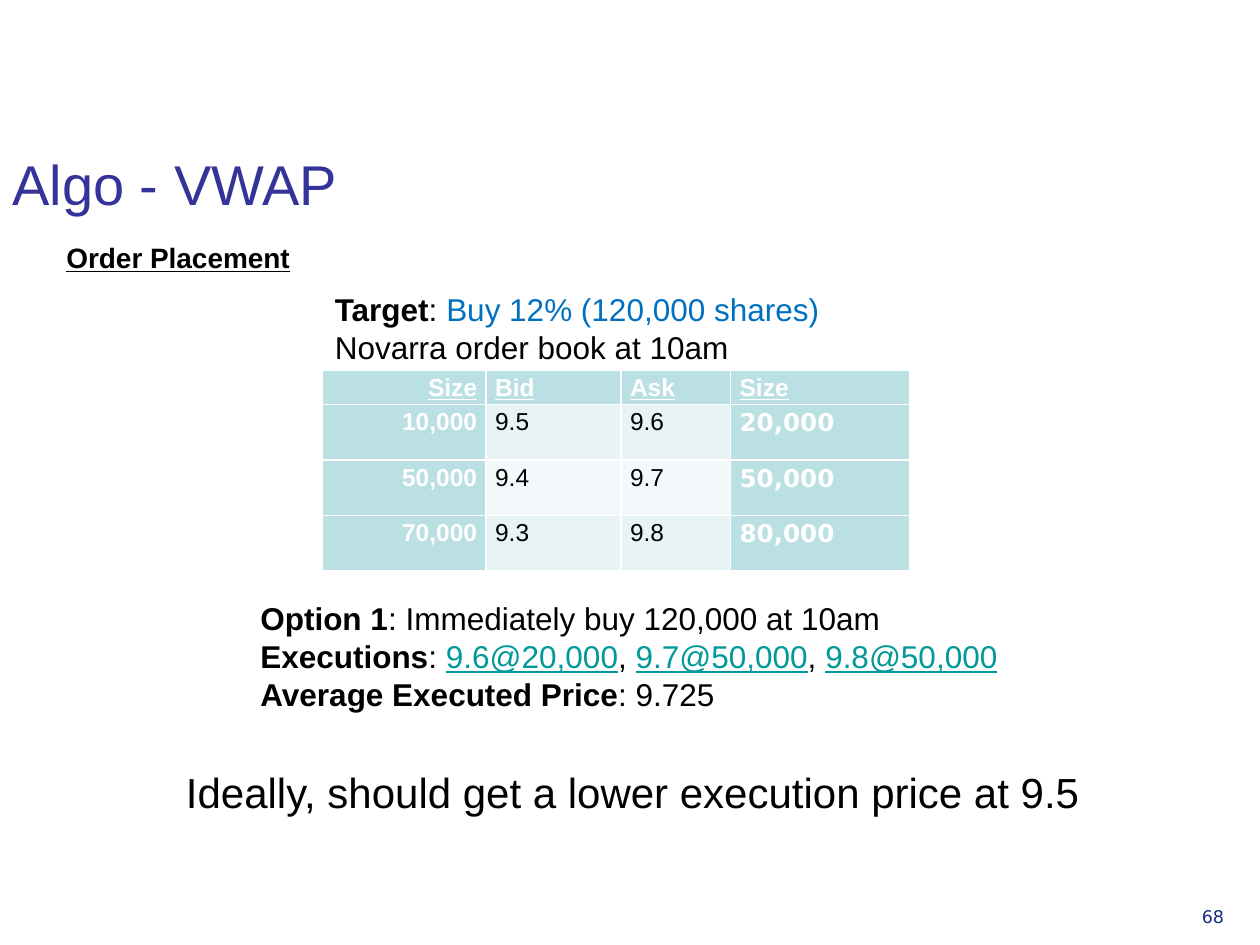
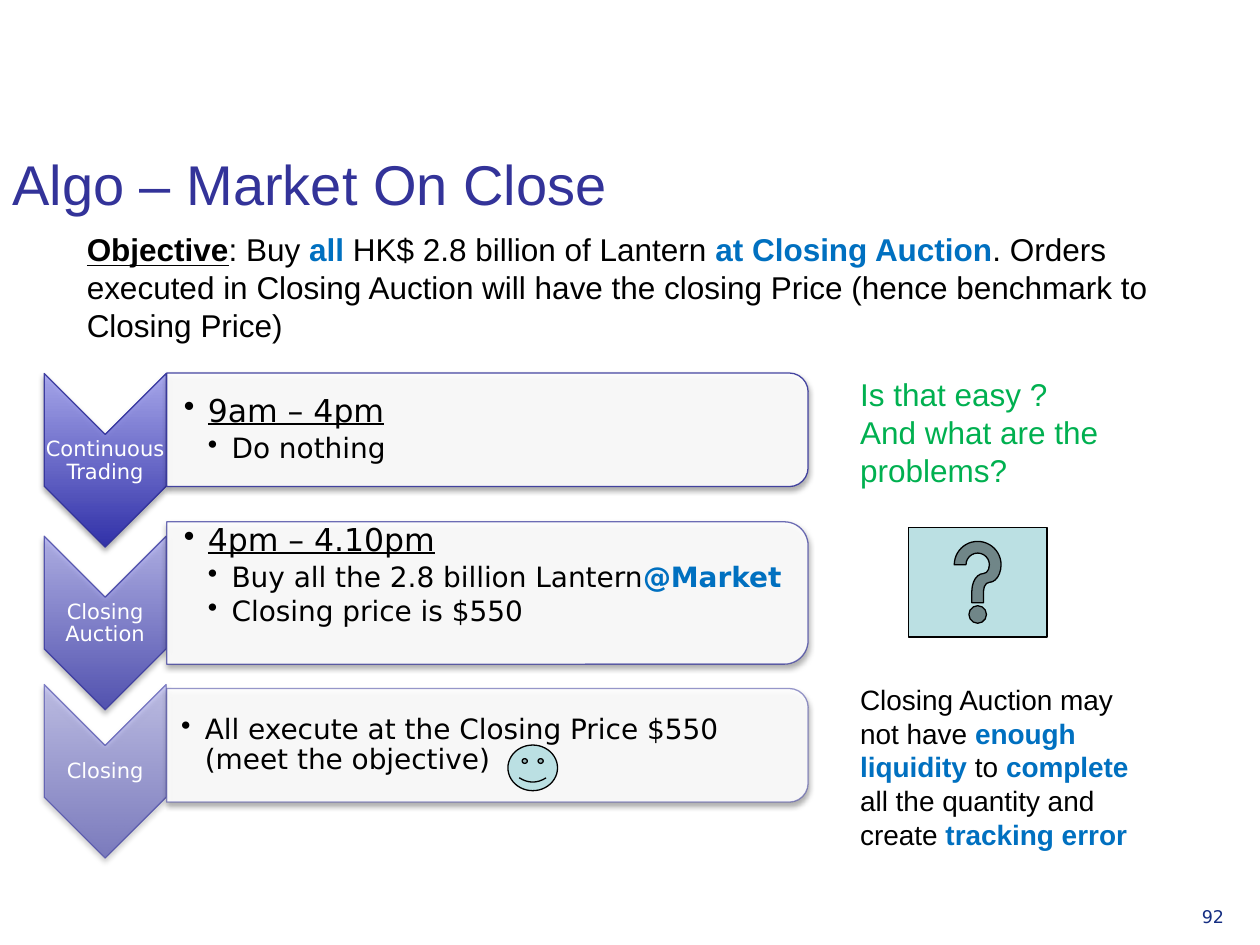
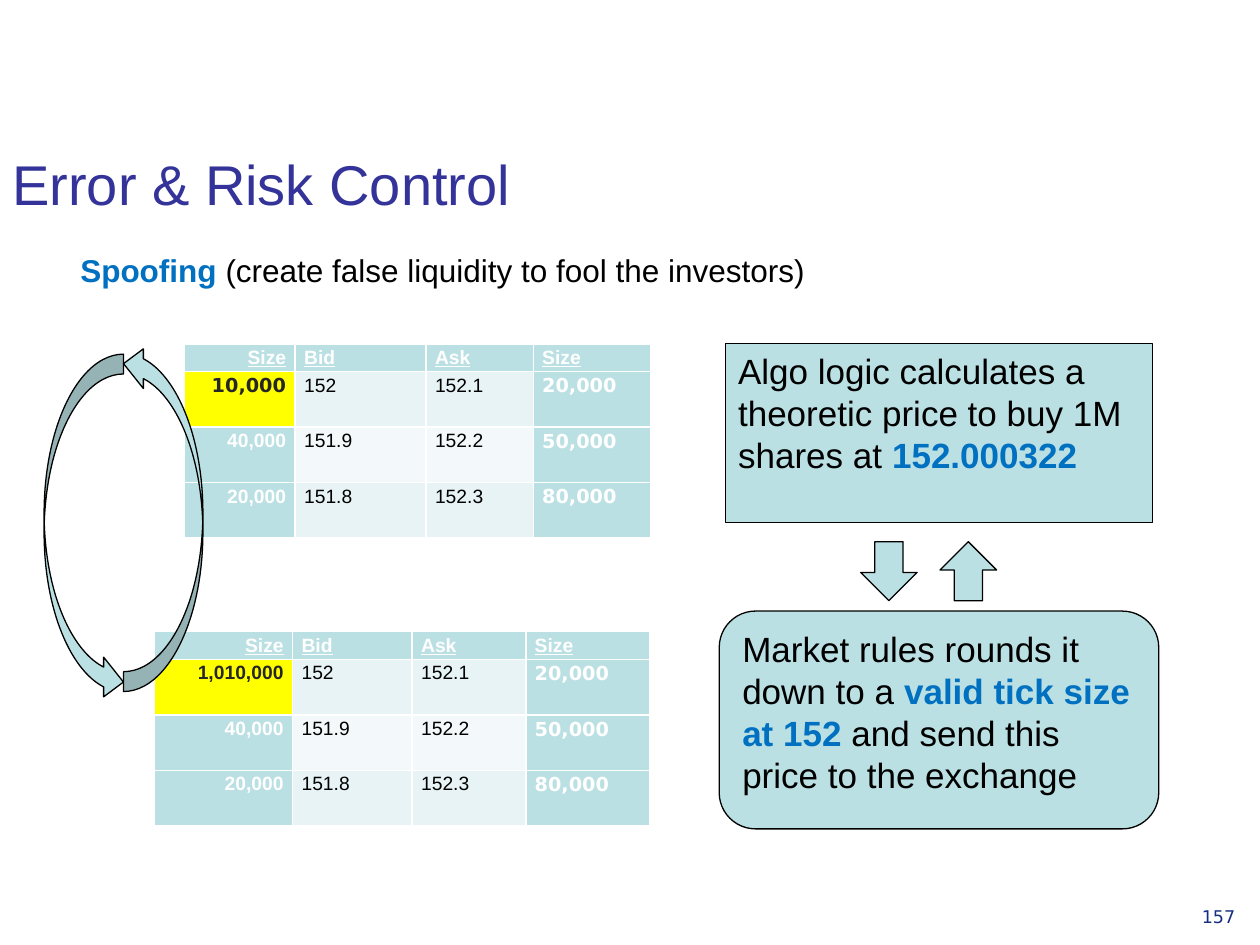
from lxml import etree
from pptx import Presentation
from pptx.dml.color import RGBColor
from pptx.enum.shapes import MSO_SHAPE
from pptx.enum.text import MSO_ANCHOR, PP_ALIGN
from pptx.oxml import parse_xml
from pptx.oxml.ns import nsdecls, qn
from pptx.util import Cm, Pt

CHEVRON = MSO_SHAPE.CHEVRON
PANEL = MSO_SHAPE.ROUND_2_SAME_RECTANGLE
HELP = MSO_SHAPE.ACTION_BUTTON_HELP
SMILEY = MSO_SHAPE.SMILEY_FACE
CURVED_ARROW = MSO_SHAPE.CURVED_RIGHT_ARROW
DOWN_ARROW = MSO_SHAPE.DOWN_ARROW
RECTANGLE = MSO_SHAPE.RECTANGLE
ROUNDED_PROCESS = MSO_SHAPE.FLOWCHART_ALTERNATE_PROCESS
TOP, MIDDLE, BOTTOM = MSO_ANCHOR.TOP, MSO_ANCHOR.MIDDLE, MSO_ANCHOR.BOTTOM
LEFT, CENTER, RIGHT = PP_ALIGN.LEFT, PP_ALIGN.CENTER, PP_ALIGN.RIGHT

ARIAL, DEJAVU = "Arial", "DejaVu Sans"
BLACK, WHITE, BLUE, GREEN = "000000", "FFFFFF", "0070C0", "00B050"
INDIGO, NAVY, LINK = "333399", "152E82", "009999"
TEAL, YELLOW, DARK = "BBE0E3", "FFFF00", "262626"
BANDS = ["E7F3F4", "F3F9FA"]
GRADIENT = ["2424A8", "A4A4EF"]
LINE_BREAK = "\n"
BULLET_INDENT = 0.48


def rgb(value):
    return RGBColor.from_string(value)


def bold(text, color=None, underline=None):
    return text, {"bold": True, "color": color, "underline": underline}


def blue(text):
    return bold(text, BLUE)


def link_like(text):
    return text, {"color": LINK, "underline": True}


def set_font(font, size=None, name=None, color=None, bold=None, underline=None):
    if size:
        font.size = Pt(size)
    if name:
        font.name = name
    if color:
        font.color.rgb = rgb(color)
    if bold is not None:
        font.bold = bold
    if underline is not None:
        font.underline = underline


def fade(element, percent):
    """Give every colour inside a fill or line the stated opacity."""
    for color in element.iter(qn("a:srgbClr")):
        etree.SubElement(color, qn("a:alpha")).set("val", str(percent * 1000))


class Deck:
    """Holds the shared style and the slide being filled."""

    def __init__(self):
        self.deck = Presentation()
        self.deck.slide_width, self.deck.slide_height = Cm(25.4), Cm(19.05)
        self.page = None

    def new_page(self, title, number):
        self.page = self.deck.slides.add_slide(self.deck.slide_layouts[6])
        self.text((23.98, 18.14, 1.4, 0.99), [[number]], 10, NAVY, DEJAVU)
        self.text((0, 1.73, 22.43, 2.77), [[title]], 32, INDIGO, anchor=BOTTOM)

    def fill_para(self, para, spans, size, color=BLACK, name=ARIAL, **style):
        """Fill a paragraph; a span is a string or a (string, font changes) pair."""
        set_font(para.font, size, name, color, **style)
        for span in spans:
            if span == LINE_BREAK:
                para.add_line_break()
                continue
            words, changes = (span, {}) if isinstance(span, str) else span
            run = para.add_run()
            run.text = words
            set_font(run.font, **changes)

    def text(self, box, paras, size, color=BLACK, name=ARIAL, anchor=TOP):
        frame = self.page.shapes.add_textbox(*map(Cm, box)).text_frame
        self.fill_frame(frame, paras, size, color, name, anchor)

    def fill_frame(self, frame, paras, size, color=BLACK, name=ARIAL, anchor=TOP):
        frame.word_wrap = True
        frame.vertical_anchor = anchor
        for index, spans in enumerate(paras):
            para = frame.add_paragraph() if index else frame.paragraphs[0]
            para.alignment = LEFT
            self.fill_para(para, spans, size, color, name)

    def tight_frame(self, box, left_inset=0.03):
        frame = self.page.shapes.add_textbox(*map(Cm, box)).text_frame
        frame.word_wrap = True
        frame.vertical_anchor = MIDDLE
        frame.margin_left = Cm(left_inset)
        frame.margin_top = frame.margin_right = frame.margin_bottom = Cm(0.03)
        return frame

    def label(self, box, words):
        para = self.tight_frame(box).paragraphs[0]
        para.alignment = CENTER
        para.line_spacing = 0.9
        self.fill_para(para, [words], 12, WHITE, DEJAVU)

    def bullets(self, box, left_inset, items):
        """Items are (level, size, underline, spans)."""
        frame = self.tight_frame(box, left_inset)
        for index, (level, size, underline, spans) in enumerate(items):
            para = frame.add_paragraph() if index else frame.paragraphs[0]
            para.level = level
            para.line_spacing = 0.9
            para.space_after = Pt(size * 0.15)
            props = para._p.get_or_add_pPr()
            props.set("marL", str(Cm(BULLET_INDENT * level)))
            props.set("indent", str(-Cm(BULLET_INDENT)))
            etree.SubElement(props, qn("a:buChar")).set("char", "•")
            self.fill_para(para, spans, size, name=DEJAVU, underline=underline)

    def shape(self, kind, box, fill=TEAL, line=BLACK, rotation=0):
        shape = self.page.shapes.add_shape(kind, *map(Cm, box))
        shape.shadow.inherit = False
        shape.rotation = rotation
        shape.fill.solid()
        shape.fill.fore_color.rgb = rgb(fill)
        shape.line.color.rgb = rgb(line)
        shape.line.width = Pt(0.75)
        return shape

    def text_shape(self, kind, box, spans):
        self.fill_frame(self.shape(kind, box).text_frame, [spans], 20)

    def turned_shape(self, kind, box, line_opacity):
        """Draw a shape turned by a quarter so that it covers the box; add a soft shadow."""
        left, top, width, height = box
        shift = (width - height) / 2
        shape = self.shape(kind, (left + shift, top - shift, height, width),
                           WHITE, INDIGO, 90)
        props = shape.element.spPr
        fade(props.find(qn("a:ln")), line_opacity)
        props.find(qn("a:effectLst")).append(parse_xml(
            f'<a:outerShdw {nsdecls("a")} blurRad="40000" dist="23000" dir="5400000" '
            'rotWithShape="0"><a:srgbClr val="000000"><a:alpha val="35000"/>'
            '</a:srgbClr></a:outerShdw>'))
        return shape

    def step(self, top, opacity, words, panel_top, panel_height, inset, items, spare=0):
        """A chevron with its panel; spare is room kept free under the bullets."""
        chevron = self.turned_shape(CHEVRON, (0.89, top, 2.46, 3.5), opacity)
        chevron.fill.gradient()
        chevron.fill.gradient_angle = 90
        for stop, color in zip(chevron.fill.gradient_stops, GRADIENT):
            stop.color.rgb = rgb(color)
        gradient = chevron.element.spPr.find(qn("a:gradFill"))
        gradient.set("rotWithShape", "0")
        fade(gradient, opacity)
        self.label((0.89, top + 1.23, 2.46, 1.07), words)

        panel = self.turned_shape(PANEL, (3.36, panel_top, 12.93, panel_height), opacity)
        fade(panel.element.spPr.find(qn("a:solidFill")), 90)
        self.bullets((3.35, panel_top + 0.13, 12.83, panel_height - 0.26 - spare),
                     inset, items)

    def order_book(self, left, top, widths, rows, size, highlight_font=None):
        """Bid and ask table; a highlight font marks the first bid size in yellow."""
        rows = [["Size", "Bid", "Ask", "Size"]] + rows
        heights = [0.56] + [1.12] * (len(rows) - 1)
        table = self.page.shapes.add_table(
            len(rows), len(widths), Cm(left), Cm(top),
            Cm(sum(widths)), Cm(sum(heights))).table
        for column, width in zip(table.columns, widths):
            column.width = Cm(width)
        for y, (row, height) in enumerate(zip(rows, heights)):
            table.rows[y].height = Cm(height)
            for x, value in enumerate(row):
                header, outer = y == 0, x in (0, 3)
                fill, color, name = TEAL, WHITE, ARIAL
                if not header and not outer:
                    fill, color = BANDS[(y - 1) % 2], BLACK
                elif not header and x == 3:
                    name = DEJAVU
                elif highlight_font and (x, y) == (0, 1):
                    fill, color, name = YELLOW, DARK, highlight_font
                cell = table.cell(y, x)
                cell.margin_left = cell.margin_right = Cm(0.18)
                cell.margin_top = cell.margin_bottom = 0
                cell.fill.solid()
                cell.fill.fore_color.rgb = rgb(fill)
                para = cell.text_frame.paragraphs[0]
                para.alignment = LEFT if x else RIGHT
                para.line_spacing = 1.15
                self.fill_para(para, [value], size, color, name,
                               bold=header or outer, underline=header)


def vwap_page(deck):
    deck.new_page("Algo - VWAP", "68")
    deck.text((1.09, 4.72, 23.11, 1.35),
              [[bold("Order Placement", underline=True)]], 16)
    deck.text((6.5, 5.72, 11.81, 1.8), [
        [bold("Target"), ": ", ("Buy 12% (120,000 shares)", {"color": BLUE})],
        ["Novarra order book at 10am"]], 18)
    deck.order_book(6.5, 7.47, [3.3, 2.72, 2.21, 3.6], [
        ["10,000", "9.5", "9.6", "20,000"],
        ["50,000", "9.4", "9.7", "50,000"],
        ["70,000", "9.3", "9.8", "80,000"]], 14)
    deck.text((5, 11.96, 16, 2.57), [
        [bold("Option 1"), ": Immediately buy 120,000 at 10am"],
        [bold("Executions"), ": ", link_like("9.6@20,000"), ", ",
         link_like("9.7@50,000"), ", ", link_like("9.8@50,000")],
        [bold("Average Executed Price"), ": 9.725"]], 18)
    deck.text((3.5, 15.32, 19.2, 1.27),
              [["Ideally, should get a lower execution price at 9.5"]], 24)


def close_page(deck):
    deck.new_page("Algo – Market On Close", "92")
    deck.text((1.5, 4.52, 22.4, 2.39), [[
        bold("Objective", underline=True), ": Buy ", blue("all"),
        " HK$ 2.8 billion of Lantern ", blue("at Closing Auction"),
        ". Orders executed in Closing Auction will have the closing Price "
        "(hence benchmark to Closing Price)"]], 18)
    deck.step(7.53, 90, "Continuous Trading", 7.52, 2.29, 0.36, [
        (1, 18, True, ["9am – 4pm"]),
        (2, 16, False, ["Do nothing"])])
    deck.step(10.81, 70, "Closing Auction", 10.52, 2.87, 0.36, [
        (1, 18, True, ["4pm – 4.10pm"]),
        (2, 16, False, ["Buy all the 2.8 billion Lantern", blue("@Market")]),
        (2, 16, False, ["Closing price is $550"])], spare=0.68)
    deck.step(13.8, 50, "Closing", 13.88, 2.29, 0.3, [
        (1, 16, False, ["All execute at the Closing Price $550", LINE_BREAK,
                        "(meet the objective)"])])
    deck.text((17.09, 7.44, 7.01, 3.43),
              [["Is that easy ?"], ["And what are the problems?"]], 18, GREEN)
    deck.shape(HELP, (18.31, 10.64, 2.8, 2.2))
    deck.text((17.09, 13.64, 6.25, 4.37), [[
        "Closing Auction may not have ", blue("enough liquidity "), "to ",
        blue("complete"), " all the quantity and create ",
        blue("tracking error")]], 16)
    deck.shape(SMILEY, (10.24, 15.02, 1, 0.92))


def risk_page(deck):
    deck.new_page("Error & Risk Control", "157")
    deck.text((1.37, 4.93, 19.94, 1.19), [[
        blue("Spoofing"), " (create false liquidity to fool the investors)"]], 18)
    deeper_rows = [["40,000", "151.9", "152.2", "50,000"],
                   ["20,000", "151.8", "152.3", "80,000"]]
    for left, top, widths, bid_size, name in [
            (3.71, 6.93, [2.24, 2.64, 2.16, 2.36], "10,000", DEJAVU),
            (3.1, 12.73, [2.8, 2.41, 2.29, 2.5], "1,010,000", ARIAL)]:
        best_row = [bid_size, "152", "152.1", "20,000"]
        deck.order_book(left, top, widths, [best_row] + deeper_rows, 11, name)
    deck.shape(CURVED_ARROW, (0.89, 7.14, 1.6, 7.01))
    deck.shape(CURVED_ARROW, (2.49, 6.93, 1.6, 7.01), rotation=180)
    deck.text_shape(RECTANGLE, (14.63, 6.93, 8.61, 3.61), [
        "Algo logic calculates a theoretic price to buy 1M shares at ",
        blue("152.000322")])
    deck.text_shape(ROUNDED_PROCESS, (14.5, 12.32, 8.86, 4.39), [
        "Market rules rounds it down to a ", blue("valid tick size at 152"),
        " and send this price to the exchange"])
    for left, rotation in [(17.35, 0), (18.95, 180)]:
        deck.shape(DOWN_ARROW, (left, 10.92, 1.14, 1.19), rotation=rotation)


def main():
    deck = Deck()
    vwap_page(deck)
    close_page(deck)
    risk_page(deck)
    deck.deck.save("out.pptx")


if __name__ == "__main__":
    main()
